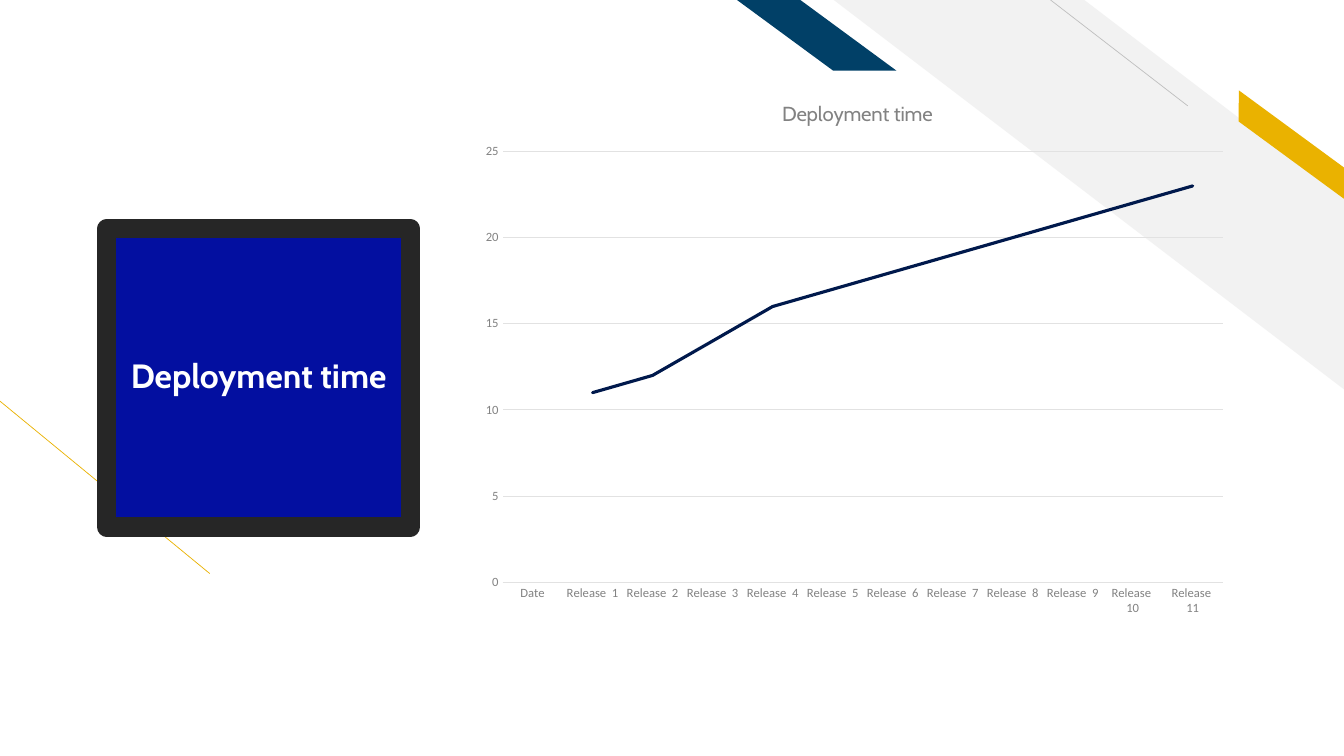
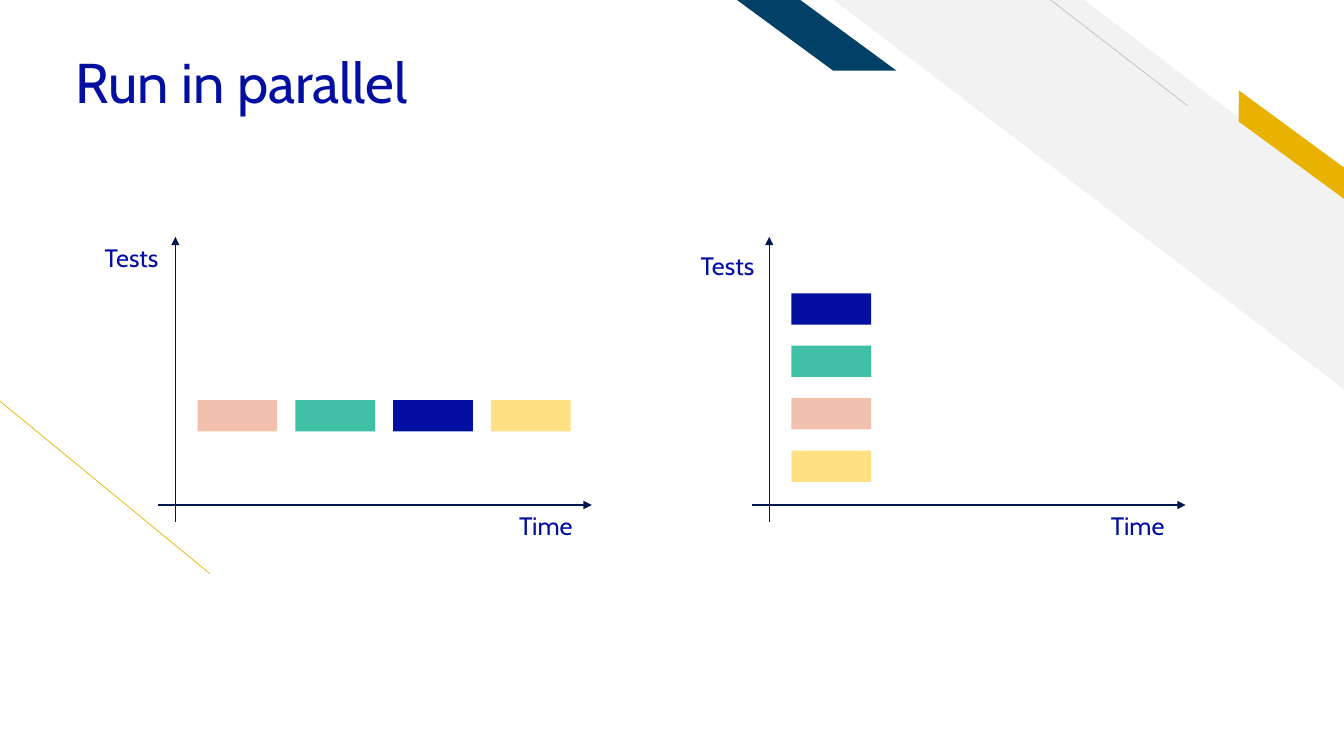
"""Build two slides: a deployment time chart and a comparison of serial and parallel tests."""
from dataclasses import dataclass

from lxml import etree
from pptx import Presentation
from pptx.chart import data as chart_data
from pptx.dml.color import RGBColor
from pptx.enum import chart as chart_enum, shapes, text
from pptx.oxml import parse_xml
from pptx.oxml.ns import nsdecls, qn
from pptx.util import Inches, Pt


@dataclass(frozen=True)
class Theme:
    royal: str = "030FA0"
    ink: str = "00194C"
    petrol: str = "014067"
    gold: str = "EAB200"
    pale: str = "F2F2F2"
    silver: str = "BFBFBF"
    frame: str = "262626"
    white: str = "FFFFFF"
    pink: str = "F1C1AE"
    green: str = "3FBFA3"
    yellow: str = "FFE183"
    axis_text: str = "828282"
    grid: str = "E2E2E2"
    body_font: str = "Cabin"
    chart_font: str = "Calibri"
    title_size: float = 40
    card_size: float = 24
    label_size: float = 18
    chart_title_size: float = 14.5
    axis_size: float = 9


THEME = Theme()
DEPLOYMENT_TITLE = "Deployment time"
RELEASE_TIMES = [11, 12, 14, 16, 17, 18, 19, 20, 21, 22, 23]
CATEGORIES = ["Date"] + [f"Release  {n}" for n in range(1, len(RELEASE_TIMES) + 1)]
PARALLEL_TITLE = "Run in parallel"
TIME_LABEL, TESTS_LABEL = "Time", "Tests"

BAR_SIZE = (0.79, 0.31)
PANELS = [
    {"axis_left": 1.57, "first_bar": (1.96, 3.97), "step": (0.97, 0),
     "bars": [THEME.pink, THEME.green, THEME.royal, THEME.yellow],
     "time_at": (5.05, 5.01), "tests_at": (0.94, 2.35)},
    {"axis_left": 7.46, "first_bar": (7.85, 2.91), "step": (0, 0.52),
     "bars": [THEME.royal, THEME.green, THEME.pink, THEME.yellow],
     "time_at": (10.92, 5.01), "tests_at": (6.85, 2.43)},
]


def rgb(color):
    return RGBColor.from_string(color)


def write(frame, content, size, color, font=THEME.body_font, bold=False,
          align=text.PP_ALIGN.LEFT, anchor=text.MSO_ANCHOR.TOP, spacing=None):
    frame.word_wrap = True
    frame.vertical_anchor = anchor
    paragraph = frame.paragraphs[0]
    paragraph.alignment = align
    paragraph.line_spacing = spacing
    run = paragraph.add_run()
    run.text = content
    style_font(run.font, size, color, font, bold)


def style_font(font, size, color, name, bold=False):
    font.name, font.size, font.bold = name, Pt(size), bold
    font.color.rgb = rgb(color)


def add_box(slide, box):
    return slide.shapes.add_textbox(*map(Inches, box)).text_frame


def add_block(slide, box, fill, kind=shapes.MSO_SHAPE.RECTANGLE, adjust=None, flip=False, turn=0):
    block = slide.shapes.add_shape(kind, *map(Inches, box))
    block.shadow.inherit = False
    block.fill.solid()
    block.fill.fore_color.rgb = rgb(fill)
    block.line.fill.background()
    block.rotation = turn
    if adjust is not None:
        block.adjustments[0] = adjust
    if flip:
        block._element.spPr.find(qn("a:xfrm")).set("flipH", "1")
    return block


def add_line(slide, start, end, color, width, arrow=False):
    line = slide.shapes.add_connector(shapes.MSO_CONNECTOR.STRAIGHT, *map(Inches, start + end))
    line.line.color.rgb = rgb(color)
    line.line.width = Pt(width)
    if arrow:
        etree.SubElement(line.line._get_or_add_ln(), qn("a:tailEnd"), type="triangle")
    etree.SubElement(line._element.spPr, qn("a:effectLst"))


def add_banded_slide(deck):
    slide = deck.slides.add_slide(deck.slide_layouts[6])
    stripe, slant = shapes.MSO_SHAPE.DIAGONAL_STRIPE, shapes.MSO_SHAPE.PARALLELOGRAM
    add_line(slide, (2.08, 5.69), (0, 3.98), THEME.gold, 0.5)
    add_block(slide, (8.27, 0, 5.07, 3.87), THEME.pale, stripe, 0.51, flip=True)
    add_line(slide, (11.78, 1.05), (10.42, 0), THEME.silver, 0.5)
    add_block(slide, (12.07, 1.31, 1.48, 0.25), THEME.gold, slant, 0.72, flip=True, turn=36.3)
    add_block(slide, (7.31, 0, 1.58, 0.7), THEME.petrol, slant, 1.36, flip=True)
    return slide


def manual_layout(parent, target=None, **fractions):
    for old in parent.findall(qn("c:layout")):
        parent.remove(old)
    layout = etree.Element(qn("c:layout"))
    manual = etree.SubElement(layout, qn("c:manualLayout"))
    if target:
        etree.SubElement(manual, qn("c:layoutTarget"), val=target)
    for mode in ("xMode", "yMode"):
        etree.SubElement(manual, qn(f"c:{mode}"), val="edge")
    for name, value in fractions.items():
        etree.SubElement(manual, qn(f"c:{name}"), val=str(value))
    return layout


def clear_backdrop():
    return parse_xml(f'<c:spPr {nsdecls("c", "a")}><a:noFill/><a:ln><a:noFill/></a:ln></c:spPr>')


def add_deployment_chart(slide):
    table = chart_data.CategoryChartData()
    table.categories = CATEGORIES
    table.add_series("Series 1", [None] + RELEASE_TIMES)
    chart = slide.shapes.add_chart(chart_enum.XL_CHART_TYPE.LINE,
                                   *map(Inches, (4.68, 0.8, 7.6, 5.41)), table).chart
    style_font(chart.font, THEME.axis_size, THEME.axis_text, THEME.chart_font)
    chart.has_legend = False
    chart.has_title = True
    write(chart.chart_title.text_frame, DEPLOYMENT_TITLE, THEME.chart_title_size,
          THEME.axis_text, align=text.PP_ALIGN.CENTER)
    chart.chart_title.include_in_layout = False

    trend = chart.plots[0].series[0]
    chart.plots[0].vary_by_categories = False
    trend.smooth = False
    trend.marker.style = chart_enum.XL_MARKER_STYLE.NONE
    trend.format.line.color.rgb = rgb(THEME.ink)
    trend.format.line.width = Pt(2.25)
    trend.format.line._get_or_add_ln().set("cap", "rnd")

    releases, times = chart.category_axis, chart.value_axis
    for axis in (releases, times):
        axis.major_tick_mark = axis.minor_tick_mark = chart_enum.XL_TICK_MARK.NONE
        style_font(axis.tick_labels.font, THEME.axis_size, THEME.axis_text, THEME.chart_font)
    times.minimum_scale, times.maximum_scale, times.major_unit = 0, 25, 5
    times.format.line.fill.background()
    times.has_major_gridlines = True
    for rule in (releases.format.line, times.major_gridlines.format.line):
        rule.color.rgb = rgb(THEME.grid)
        rule.width = Pt(0.75)

    title = chart.chart_title._element
    title.find(qn("c:tx")).addnext(manual_layout(title, x=0.4, y=0.03))
    body = chart._chartSpace.find(qn("c:chart"))
    plot = body.find(qn("c:plotArea"))
    plot.insert(0, manual_layout(plot, "inner", x=0.04, y=0.13, w=0.94, h=0.79))
    plot.append(clear_backdrop())
    body.addnext(clear_backdrop())


def add_deployment_slide(deck):
    slide = add_banded_slide(deck)
    card = add_block(slide, (1.06, 2.27, 3.01, 2.96), THEME.royal)
    card.line.color.rgb = rgb(THEME.frame)
    card.line.width = Pt(13.75)
    etree.SubElement(card.line._get_or_add_ln(), qn("a:round"))
    write(card.text_frame, DEPLOYMENT_TITLE, THEME.card_size, THEME.white, bold=True,
          align=text.PP_ALIGN.CENTER, anchor=text.MSO_ANCHOR.MIDDLE, spacing=0.9)
    add_deployment_chart(slide)


def add_panel(slide, panel):
    left = panel["axis_left"]
    add_line(slide, (left, 5.01), (left + 4.3, 5.01), THEME.ink, 1, arrow=True)
    add_line(slide, (left + 0.17, 5.18), (left + 0.17, 2.35), THEME.ink, 1, arrow=True)
    (x, y), (dx, dy) = panel["first_bar"], panel["step"]
    for i, color in enumerate(panel["bars"]):
        add_block(slide, (x + i * dx, y + i * dy, *BAR_SIZE), color)
    for label, spot in ((TIME_LABEL, panel["time_at"]), (TESTS_LABEL, panel["tests_at"])):
        write(add_box(slide, (*spot, 1.24, 0.4)), label, THEME.label_size, THEME.royal)


def add_parallel_slide(deck):
    slide = add_banded_slide(deck)
    for panel in PANELS:
        add_panel(slide, panel)
    write(add_box(slide, (0.65, 0.4, 11.5, 0.9)), PARALLEL_TITLE, THEME.title_size, THEME.royal,
          anchor=text.MSO_ANCHOR.MIDDLE, spacing=0.9)


def main():
    deck = Presentation()
    deck.slide_width, deck.slide_height = Inches(13.33), Inches(7.5)
    add_deployment_slide(deck)
    add_parallel_slide(deck)
    deck.save("out.pptx")


if __name__ == "__main__":
    main()
